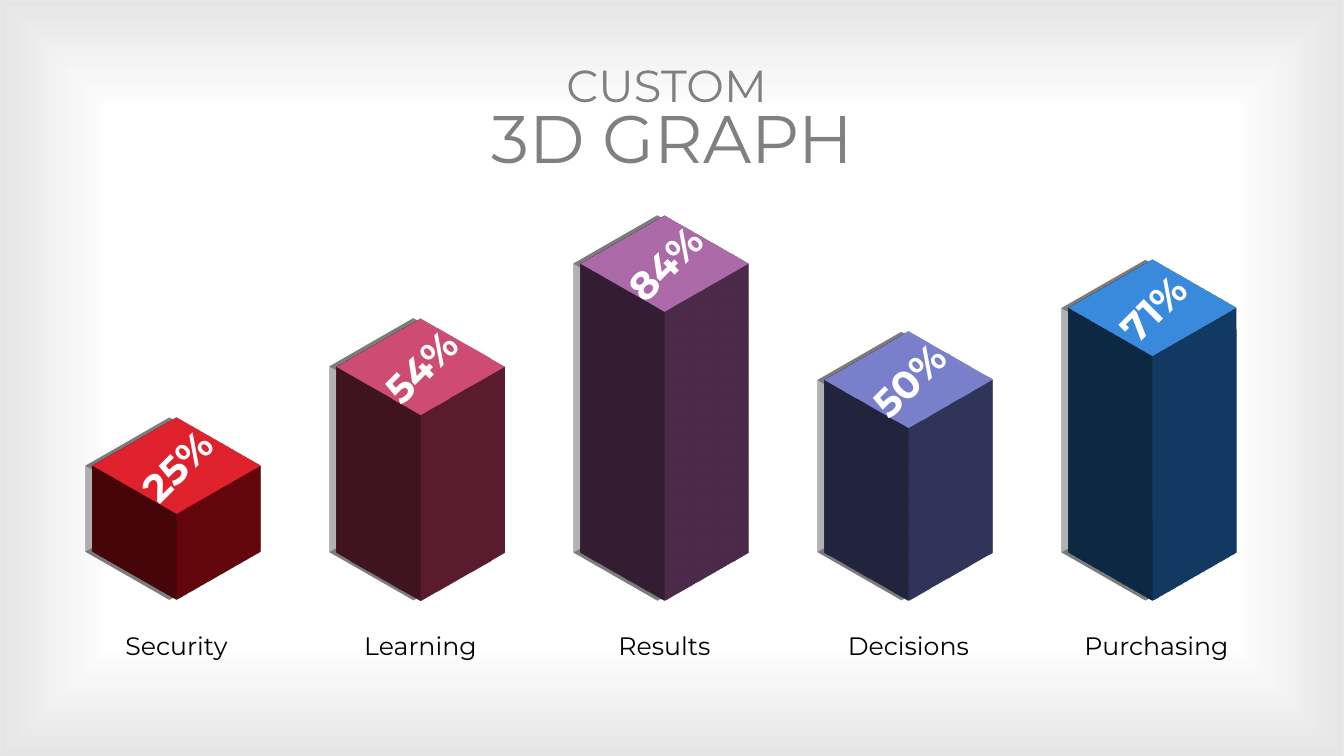
from dataclasses import dataclass

from pptx import Presentation
from pptx.dml.color import RGBColor as RGB
from pptx.enum.shapes import MSO_SHAPE as SHAPE
from pptx.enum.text import MSO_ANCHOR as ANCHOR, MSO_AUTO_SIZE as AUTO, PP_ALIGN as ALIGN
from pptx.oxml import parse_xml
from pptx.util import Inches, Pt


@dataclass(frozen=True)
class Theme:
    font: str = "Montserrat"
    title: str = "808080"
    label: str = "000000"
    value: str = "FFFFFF"
    kicker_size: int = 32
    title_size: int = 48
    value_size: int = 28
    label_size: int = 18


THEME = Theme()
SLIDE_W, SLIDE_H = 13.33, 7.5

# Bar geometry: the square is the top face, extruded downwards
FIRST_X, PITCH = 1.75, 2.42
SIDE = 1.18
BASE_Y = 5.47         # middle of the bottom face
PER_PERCENT = 0.034   # visible height for one percent, in inches
DEPTH = Pt(3)         # extrusion for one percent

LABEL_Y, LABEL_W, LABEL_H = 6.2, 1.97, 0.4

# Name, percent, colour, shift of the label
BARS = [
    ("Security", 25, "C90E18", 0),
    ("Learning", 54, "B9385F", 0),
    ("Results", 84, "975693", 0),
    ("Decisions", 50, "656BB6", 0),
    ("Purchasing", 71, "2575C7", 0.04),
]

NS = 'xmlns:a="http://schemas.openxmlformats.org/drawingml/2006/main"'
VIGNETTE = f"""
<a:gradFill {NS}>
  <a:gsLst>
    <a:gs pos="72000"><a:srgbClr val="000000"><a:alpha val="0"/></a:srgbClr></a:gs>
    <a:gs pos="100000"><a:srgbClr val="000000"><a:alpha val="10000"/></a:srgbClr></a:gs>
  </a:gsLst>
  <a:path path="shape"><a:fillToRect l="50000" t="50000" r="50000" b="50000"/></a:path>
</a:gradFill>"""
SHADOW = f"""
<a:effectLst {NS}>
  <a:outerShdw blurRad="{Pt(20)}" dist="{Pt(5)}" dir="10800000" algn="r" rotWithShape="0">
    <a:srgbClr val="000000"><a:alpha val="30000"/></a:srgbClr>
  </a:outerShdw>
</a:effectLst>"""
SCENE = f"""
<a:scene3d {NS}>
  <a:camera prst="isometricTopUp"/><a:lightRig rig="threePt" dir="t"/>
</a:scene3d>"""


def add_rect(slide, x, y, w, h):
    sp = slide.shapes.add_shape(SHAPE.RECTANGLE, *map(Inches, (x, y, w, h)))
    sp.line.fill.background()
    return sp


def style(p, size, color, bold=False):
    p.alignment = ALIGN.CENTER
    p.font.name = THEME.font
    p.font.size = Pt(size)
    p.font.bold = bold
    p.font.color.rgb = RGB.from_string(color)


def add_vignette(slide):
    sp = add_rect(slide, 0, 0, SLIDE_W, SLIDE_H)
    sp.shadow.inherit = False
    sp._element.spPr.find("{*}prstGeom").addnext(parse_xml(VIGNETTE))
    slide.shapes._spTree.insert(2, sp._element)  # behind the title


def set_title(slide, kicker, title):
    sp = slide.shapes.title
    sp.left, sp.top, sp.width, sp.height = map(Inches, (2.49, 0.63, 8.36, 1.18))
    tf = sp.text_frame
    tf.auto_size = AUTO.NONE
    tf.vertical_anchor = ANCHOR.TOP
    tf.text = f"{kicker}\n{title}"
    for p, size in zip(tf.paragraphs, (THEME.kicker_size, THEME.title_size)):
        style(p, size, THEME.title)
        p.line_spacing = 0.8


def add_bar(slide, cx, percent, color):
    cy = BASE_Y - percent * PER_PERCENT
    sp = add_rect(slide, cx - SIDE / 2, cy - SIDE / 2, SIDE, SIDE)
    sp.fill.solid()
    sp.fill.fore_color.rgb = RGB.from_string(color)

    # Shadow, isometric view and extrusion
    extrusion = f'<a:sp3d {NS} extrusionH="{percent * DEPTH}"/>'
    for xml in (SHADOW, SCENE, extrusion):
        sp._element.spPr.append(parse_xml(xml))

    tf = sp.text_frame
    tf.vertical_anchor = ANCHOR.MIDDLE
    tf.text = f"{percent}%"
    style(tf.paragraphs[0], THEME.value_size, THEME.value, bold=True)


def add_label(slide, cx, text):
    sp = slide.shapes.add_textbox(
        *map(Inches, (cx - LABEL_W / 2, LABEL_Y, LABEL_W, LABEL_H)))
    tf = sp.text_frame
    tf.word_wrap = True
    tf.text = text
    style(tf.paragraphs[0], THEME.label_size, THEME.label)


def main():
    prs = Presentation()
    prs.slide_width, prs.slide_height = Inches(SLIDE_W), Inches(SLIDE_H)
    slide = prs.slides.add_slide(prs.slide_layouts[5])  # title only

    add_vignette(slide)
    set_title(slide, "CUSTOM ", "3D GRAPH")
    for i, (name, percent, color, shift) in enumerate(BARS):
        cx = FIRST_X + i * PITCH
        add_bar(slide, cx, percent, color)
        add_label(slide, cx + shift, name)

    prs.save("out.pptx")


main()
